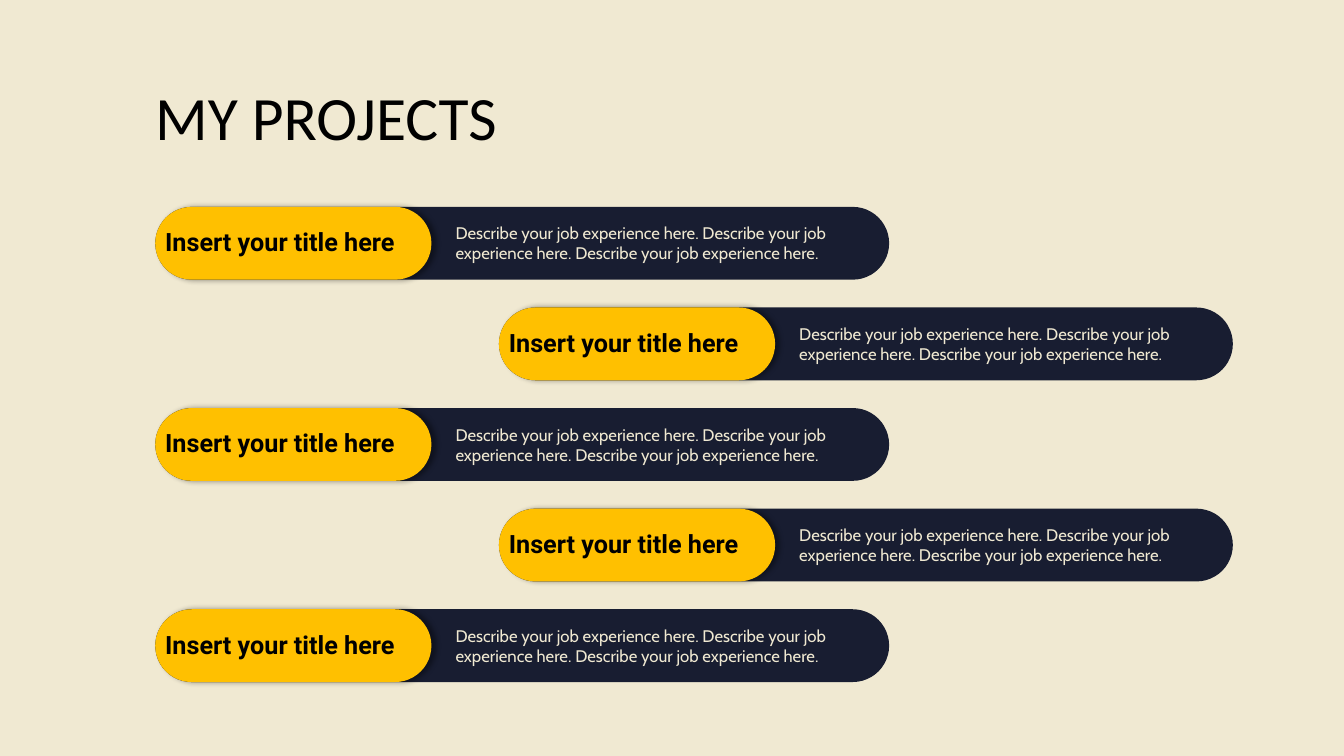
from dataclasses import dataclass

from lxml import etree
from pptx import Presentation
from pptx.dml.color import RGBColor
from pptx.enum.shapes import MSO_SHAPE
from pptx.enum.text import MSO_ANCHOR, MSO_AUTO_SIZE
from pptx.oxml.ns import qn
from pptx.shapes.autoshape import Shape
from pptx.util import Pt

ROUND = MSO_SHAPE.ROUNDED_RECTANGLE
MIDDLE = MSO_ANCHOR.MIDDLE
GROW = MSO_AUTO_SIZE.SHAPE_TO_FIT_TEXT


@dataclass(frozen=True)
class Style:
    font: str
    size: float
    color: str
    bold: bool = False


@dataclass(frozen=True)
class Theme:
    paper: str = "F0E9D2"
    navy: str = "181D31"
    gold: str = "FFC000"
    shade: str = "000000"
    head: Style = Style("Calibri", 44, "000000")
    label: Style = Style("Roboto", 18, "000000", True)
    body: Style = Style("Cabin", 12, "F0E9D2")


@dataclass(frozen=True)
class Box:
    left: float
    top: float
    width: float
    height: float

    def shift(self, x: float, y: float) -> "Box":
        return Box(self.left + x, self.top + y, self.width, self.height)

    def lengths(self) -> tuple[Pt, Pt, Pt, Pt]:
        return Pt(self.left), Pt(self.top), Pt(self.width), Pt(self.height)


@dataclass(frozen=True)
class Project:
    title: str
    note: str


THEME = Theme()
HEAD = Box(110.9, 65.5, 304.5, 41)

# Rows alternate between two columns at an even pitch
COLUMNS = (110.9, 356.4)
TOP, PITCH = 147.8, 71.85

# Parts of one row, measured from its top left corner
BAR = Box(0, 0, 524.2, 52)
PILL = Box(0, 0, 197.3, 52)
LABEL = Box(0, 10.5, 197.3, 29)
NOTE = Box(207.4, 8, 300.2, 36.4)

PROJECTS = [Project(
    "Insert your title here",
    " ".join(["Describe your job experience here."] * 3),
)] * 5


def add_bar(shapes, box: Box, color: str) -> Shape:
    bar = shapes.add_shape(ROUND, *box.lengths())
    bar.adjustments[0] = 0.5
    bar.fill.solid()
    bar.fill.fore_color.rgb = RGBColor.from_string(color)
    bar.line.fill.background()
    bar.shadow.inherit = False
    return bar


def add_shade(shape: Shape) -> None:
    effects = shape._element.spPr.find(qn("a:effectLst"))
    outer = etree.SubElement(
        effects, qn("a:outerShdw"), blurRad=str(Pt(4)), dist=str(Pt(3)),
        dir="0", algn="l", rotWithShape="0")
    color = etree.SubElement(outer, qn("a:srgbClr"), val=THEME.shade)
    etree.SubElement(color, qn("a:alpha"), val="40000")


def add_text(shapes, box: Box, text: str, style: Style) -> Shape:
    item = shapes.add_textbox(*box.lengths())
    frame = item.text_frame
    frame.word_wrap = True
    frame.text = text
    font = frame.paragraphs[0].runs[0].font
    font.name = style.font
    font.size = Pt(style.size)
    font.bold = style.bold
    font.color.rgb = RGBColor.from_string(style.color)
    return item


def add_head(shapes) -> None:
    frame = add_text(shapes, HEAD, "MY PROJECTS", THEME.head).text_frame
    frame.margin_left = frame.margin_right = Pt(0)
    frame.margin_top = frame.margin_bottom = Pt(0)
    frame.vertical_anchor = MIDDLE
    frame.paragraphs[0].line_spacing = 0.9


def add_row(shapes, row: Project, x: float, y: float) -> None:
    parts = shapes.add_group_shape().shapes
    add_bar(parts, BAR.shift(x, y), THEME.navy)
    add_shade(add_bar(parts, PILL.shift(x, y), THEME.gold))
    for box, text, style in ((LABEL, row.title, THEME.label),
                             (NOTE, row.note, THEME.body)):
        item = add_text(parts, box.shift(x, y), text, style)
        item.text_frame.auto_size = GROW


def main() -> None:
    deck = Presentation()
    deck.slide_width, deck.slide_height = Pt(960), Pt(540)
    slide = deck.slides.add_slide(deck.slide_layouts[6])

    # Background
    fill = slide.background.fill
    fill.solid()
    fill.fore_color.rgb = RGBColor.from_string(THEME.paper)

    # Heading and project rows
    add_head(slide.shapes)
    for i, row in enumerate(PROJECTS):
        add_row(slide.shapes, row, COLUMNS[i % 2], TOP + i * PITCH)

    deck.save("out.pptx")


if __name__ == "__main__":
    main()
